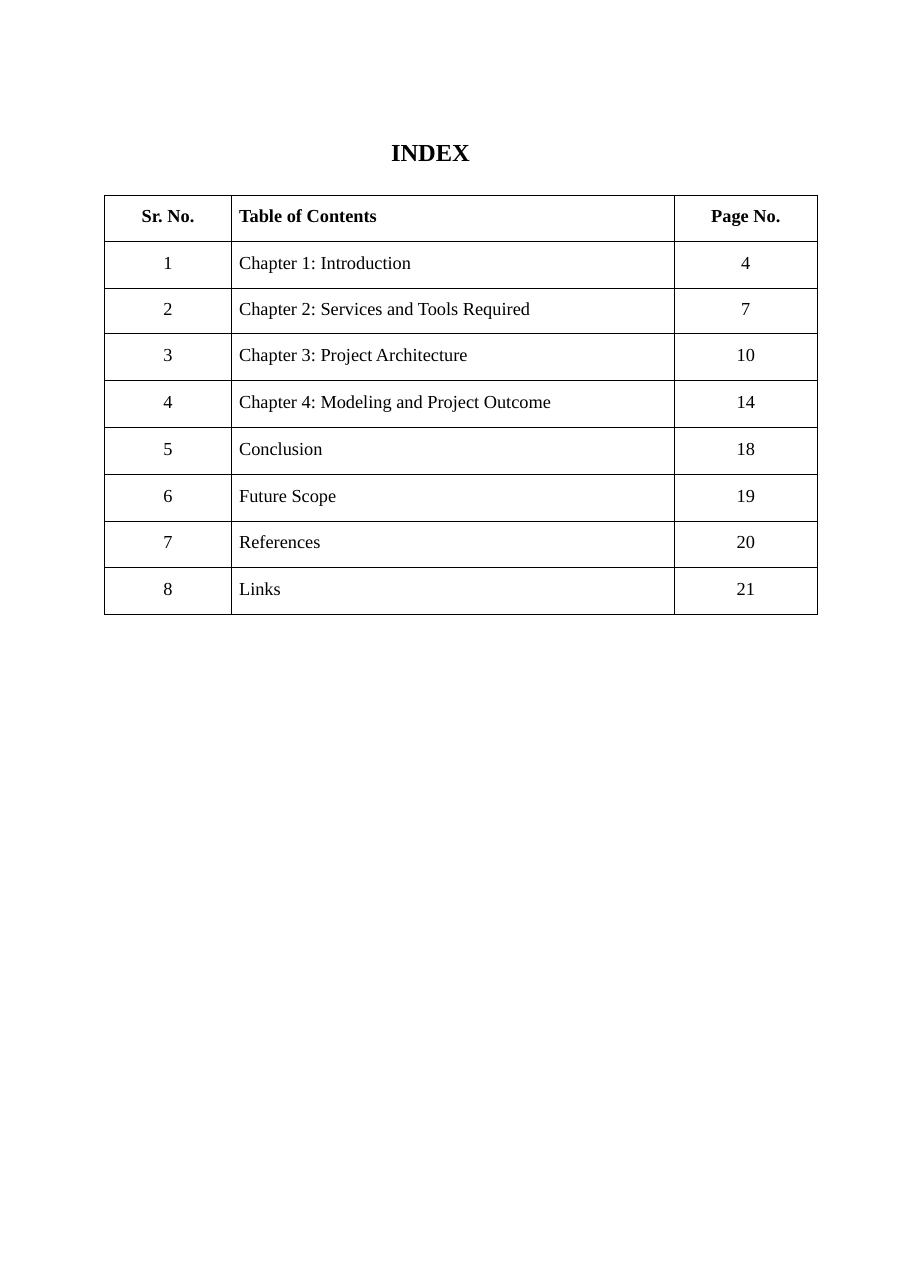
from lxml import etree
from pptx import Presentation
from pptx import util as u
from pptx.dml.color import RGBColor
from pptx.enum import text
from pptx.oxml import ns

COLORS = {"ink": "000000", "paper": "FFFFFF"}
INK = RGBColor.from_string(COLORS["ink"])
PAPER = RGBColor.from_string(COLORS["paper"])
LEFT, CENTER = text.PP_ALIGN.LEFT, text.PP_ALIGN.CENTER


def write(paragraph, wording, size, bold, align, space, indent):
    paragraph.text = wording
    paragraph.alignment = align
    paragraph.space_before = u.Pt(space)
    properties = paragraph._p.get_or_add_pPr()
    properties.set("marL", str(u.Inches(indent)))
    properties.set("indent", "0")
    font = paragraph.runs[0].font
    look = {"name": "Times New Roman", "size": u.Pt(size), "bold": bold}
    for key, value in look.items():
        setattr(font, key, value)
    font.color.rgb = INK


def draw_borders(cell):
    properties = cell._tc.get_or_add_tcPr()
    for position, side in enumerate(("a:lnL", "a:lnR", "a:lnT", "a:lnB")):
        border = etree.Element(ns.qn(side), w=str(u.Pt(0.5)))
        fill = etree.SubElement(border, ns.qn("a:solidFill"))
        etree.SubElement(fill, ns.qn("a:srgbClr"), val=COLORS["ink"])
        properties.insert(position, border)


deck = Presentation()
deck.slide_width, deck.slide_height = u.Inches(8.26), u.Inches(11.69)
page = deck.slides.add_slide(deck.slide_layouts[5])

heading = page.shapes.title
heading_box = {"left": 3.54, "top": 1.23, "width": 0.74, "height": 0.29}
for key, value in heading_box.items():
    setattr(heading, key, u.Inches(value))
heading_format = {
    "margin_left": 0,
    "margin_top": u.Inches(0.01),
    "margin_right": 0,
    "margin_bottom": 0,
    "vertical_anchor": text.MSO_ANCHOR.TOP,
    "word_wrap": True,
    "auto_size": text.MSO_AUTO_SIZE.SHAPE_TO_FIT_TEXT,
}
for key, value in heading_format.items():
    setattr(heading.text_frame, key, value)
write(heading.text_frame.paragraphs[0], "INDEX", 16, True, LEFT, 1, 0.01)

entries = [
    ("Sr. No.", "Table of Contents", "Page No."),
    ("1", "Chapter 1: Introduction", "4"),
    ("2", "Chapter 2: Services and Tools Required", "7"),
    ("3", "Chapter 3: Project Architecture", "10"),
    ("4", "Chapter 4: Modeling and Project Outcome", "14"),
    ("5", "Conclusion", "18"),
    ("6", "Future Scope", "19"),
    ("7", "References", "20"),
    ("8", "Links", "21"),
]
column_widths = [1.15, 4.02, 1.3]
alignments = [CENTER, LEFT, CENTER]
indents = [0, 0.07, 0]
table_height, short_height, short_row = 3.81, 0.41, 2
row_height = (table_height - short_height) / (len(entries) - 1)

contents = page.shapes.add_table(
    len(entries), len(column_widths), u.Inches(0.95), u.Inches(1.77),
    u.Inches(sum(column_widths)), u.Inches(table_height)).table
contents.horz_banding = False
for column, width in zip(contents.columns, column_widths):
    column.width = u.Inches(width)

for number, entry in enumerate(entries):
    is_short = number == short_row
    contents.rows[number].height = u.Inches(short_height if is_short else row_height)
    space = 7 if is_short else 7.5
    cell_format = {
        "margin_left": 0,
        "margin_top": u.Inches(space / 72),
        "margin_right": 0,
        "margin_bottom": 0,
        "vertical_anchor": text.MSO_ANCHOR.TOP,
    }
    for index, wording in enumerate(entry):
        cell = contents.cell(number, index)
        for key, value in cell_format.items():
            setattr(cell, key, value)
        cell.fill.solid()
        cell.fill.fore_color.rgb = PAPER
        draw_borders(cell)
        write(cell.text_frame.paragraphs[0], wording, 12, number == 0,
              alignments[index], space, indents[index])

deck.save("out.pptx")
